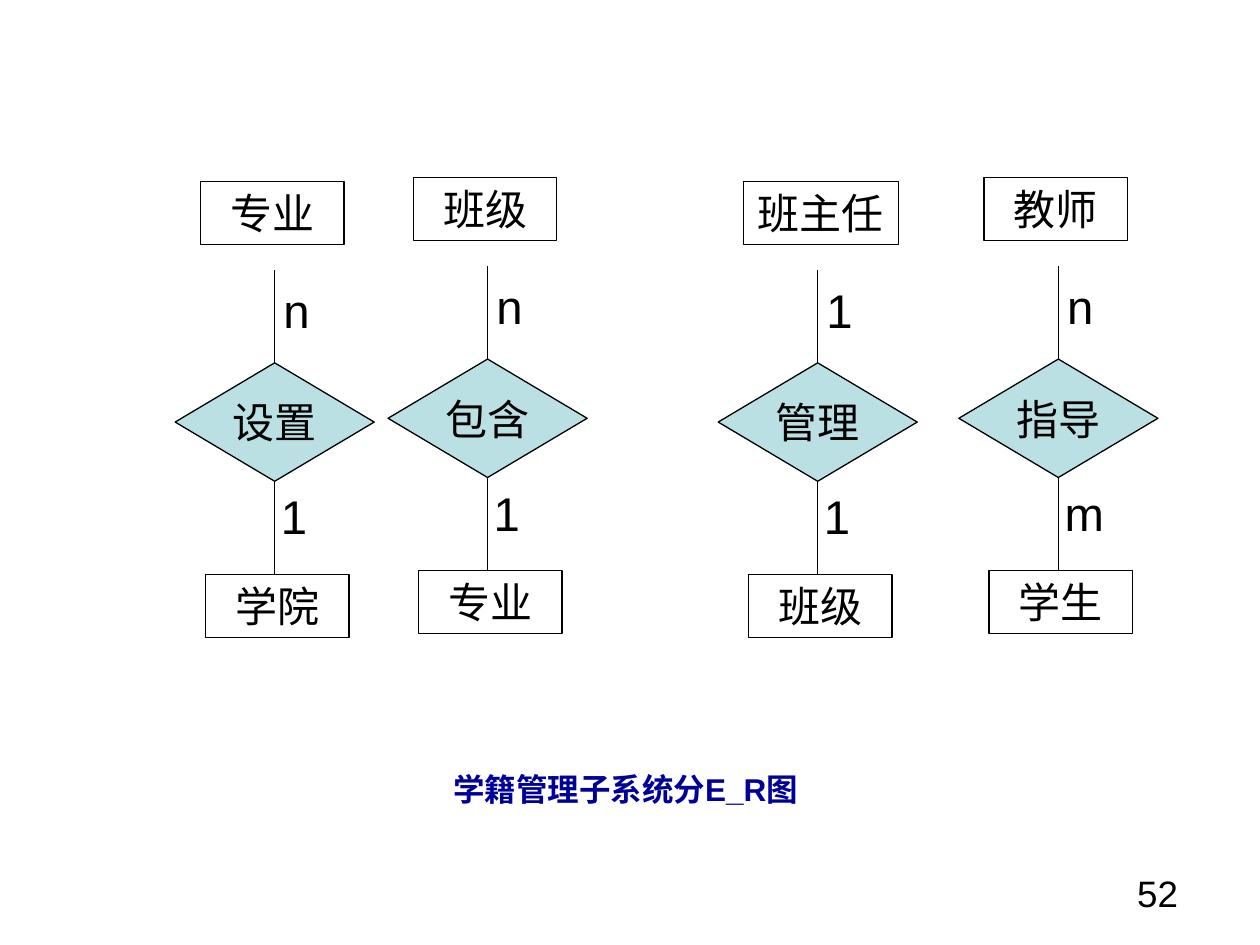
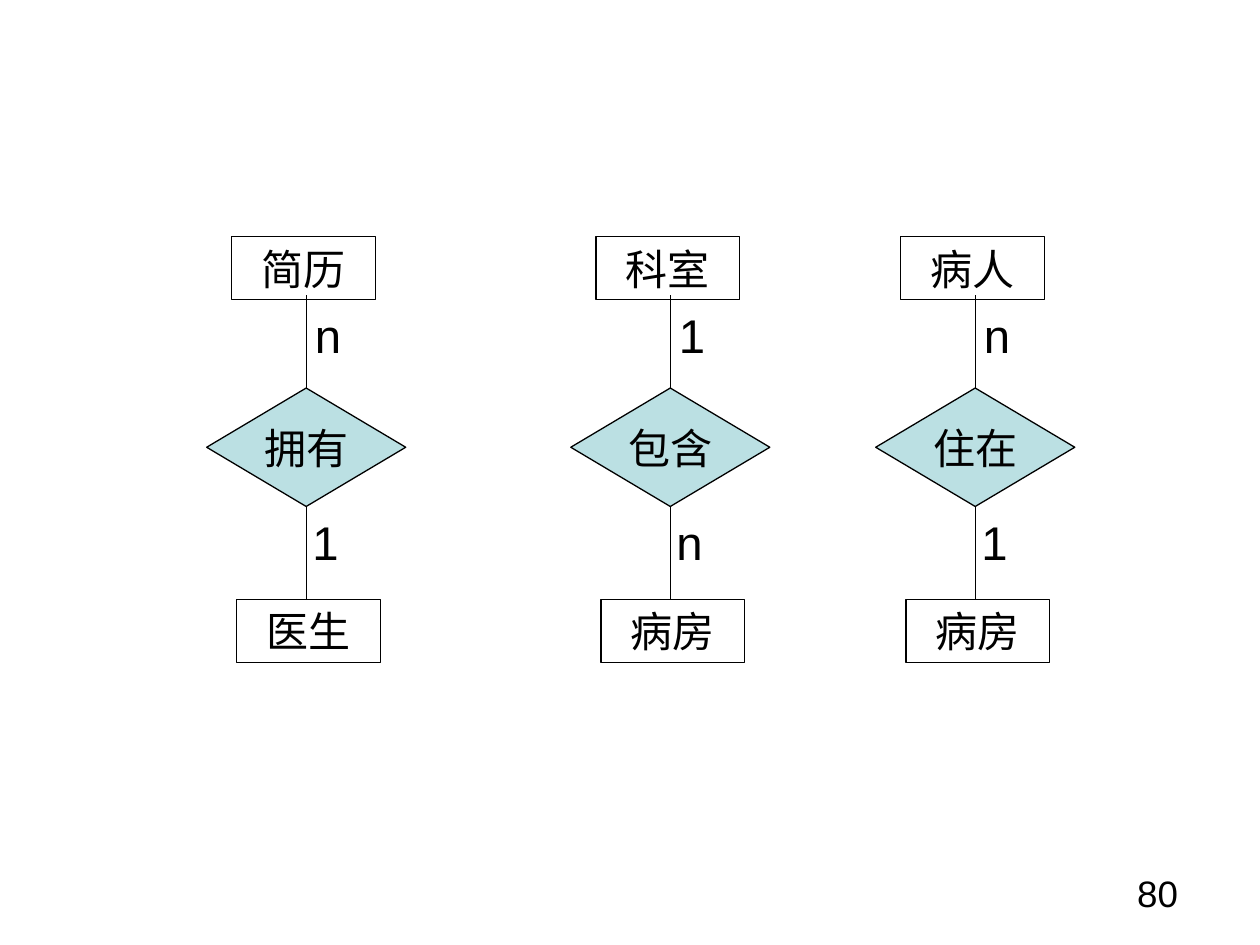
import pptx
import pptx.util
import pptx.dml.color
import pptx.enum.shapes
import pptx.enum.text
import pptx.oxml.ns
import lxml.etree

Inches = pptx.util.Inches
Shapes = pptx.enum.shapes.MSO_SHAPE
Align = pptx.enum.text.PP_ALIGN
Anchor = pptx.enum.text.MSO_ANCHOR
Fit = pptx.enum.text.MSO_AUTO_SIZE

BLACK, CAPTION_BLUE, DIAMOND_FILL = "000000", "000099", "BBE0E3"
LINE_WIDTH = 0.75

# Entity and diamond sizes, and the diamond's centre line
ENTITY_W, ENTITY_H = 1.14, 0.5
DIAMOND_W, DIAMOND_H = 1.58, 0.94
LINK = 0.74
CENTRE = DIAMOND_W / 2


def color(hex_code):
    return pptx.dml.color.RGBColor.from_string(hex_code)


def write(shape, text, size, align=Align.CENTER, hex_code=BLACK, bold=False,
          inset=(0.1, 0.05), **frame_format):
    """Put one styled paragraph into a shape."""
    frame = shape.text_frame
    x, y = (Inches(value) for value in inset)
    settings = {
        "margin_left": x, "margin_right": x, "margin_top": y, "margin_bottom": y,
        "word_wrap": True, "vertical_anchor": Anchor.TOP,
        "auto_size": Fit.SHAPE_TO_FIT_TEXT, **frame_format,
    }
    for name, value in settings.items():
        setattr(frame, name, value)
    paragraph = frame.paragraphs[0]
    paragraph.alignment = align
    run = paragraph.add_run()
    run.text = text
    font = {"name": "Arial", "size": pptx.util.Pt(size), "bold": bold}
    for name, value in font.items():
        setattr(run.font, name, value)
    run.font.color.rgb = color(hex_code)


def add_text(slide, box, text, size, **style):
    write(slide.shapes.add_textbox(*map(Inches, box)), text, size, **style)


def add_outlined(slide, kind, box, text, fill=None, **style):
    shape = slide.shapes.add_shape(kind, *map(Inches, box))
    shape.shadow.inherit = False
    if fill:
        shape.fill.solid()
        shape.fill.fore_color.rgb = color(fill)
    else:
        shape.fill.background()
    shape.line.color.rgb = color(BLACK)
    shape.line.width = pptx.util.Pt(LINE_WIDTH)
    write(shape, text, 24, **style)
    return shape


def add_link(slide, x, start, end, diamond, site):
    """Vertical line that starts at a corner of the diamond."""
    link = slide.shapes.add_connector(
        pptx.enum.shapes.MSO_CONNECTOR.STRAIGHT,
        Inches(x), Inches(start), Inches(x), Inches(end))
    link.begin_connect(diamond, site)
    link.line.color.rgb = color(BLACK)
    link.line.width = pptx.util.Pt(LINE_WIDTH)
    lxml.etree.SubElement(link._element.spPr, pptx.oxml.ns.qn("a:effectLst"))


def add_relation(slide, left, top, drop, upper, upper_count, relation,
                 lower_count, lower, upper_width=ENTITY_W):
    """Upper entity, diamond and lower entity; drop is from top to diamond."""
    diamond_top = top + drop
    diamond_bottom = diamond_top + DIAMOND_H
    lower_top = diamond_bottom + LINK
    centre = left + CENTRE

    # Entities
    add_outlined(slide, Shapes.RECTANGLE,
                 (left + 0.2, top, upper_width, ENTITY_H), upper)
    add_outlined(slide, Shapes.RECTANGLE,
                 (left + 0.24, lower_top, ENTITY_W, ENTITY_H), lower)

    # Relationship
    diamond = add_outlined(
        slide, Shapes.FLOWCHART_DECISION, (left, diamond_top, DIAMOND_W, DIAMOND_H),
        relation, fill=DIAMOND_FILL, vertical_anchor=Anchor.MIDDLE,
        word_wrap=False, auto_size=Fit.NONE)

    # Links and cardinalities
    add_link(slide, centre, diamond_top, diamond_top - LINK, diamond, 0)
    add_link(slide, centre, diamond_bottom, lower_top, diamond, 2)
    for count, x, y in ((upper_count, centre - 0.03, diamond_top - 0.7),
                        (lower_count, centre - 0.05, diamond_bottom)):
        add_text(slide, (x, y, 0.42, 0.55), count, 27, align=Align.LEFT)


def add_slide(deck, page, drop, relations):
    slide = deck.slides.add_slide(deck.slide_layouts[6])
    add_text(slide, (7.17, 6.83, 2.33, 0.52), page, 21, align=Align.RIGHT,
             inset=(0.15, 0.08), auto_size=Fit.NONE)
    for left, top, *parts in relations:
        add_relation(slide, left, top, drop, *parts)
    return slide


def main():
    deck = pptx.Presentation()
    deck.slide_width, deck.slide_height = Inches(10), Inches(7.5)

    # Student records
    records = add_slide(deck, "52", 1.44, [
        (5.7, 1.44, "班主任", "1", "管理", "1", "班级", 1.23),
        (7.61, 1.41, "教师", "n", "指导", "m", "学生"),
        (1.39, 1.44, "专业", "n", "设置", "1", "学院"),
        (3.08, 1.41, "班级", "n", "包含", "1", "专业"),
    ])
    add_text(records, (2.8, 6.06, 4.33, 0.4), "学籍管理子系统分E_R图", 18,
             hex_code=CAPTION_BLUE, bold=True)

    # Hospital
    add_slide(deck, "80", 1.2, [
        (4.53, 1.88, "科室", "1", "包含", "n", "病房"),
        (6.95, 1.88, "病人", "n", "住在", "1", "病房"),
        (1.64, 1.88, "简历", "n", "拥有", "1", "医生"),
    ])
    deck.save("out.pptx")


if __name__ == "__main__":
    main()
